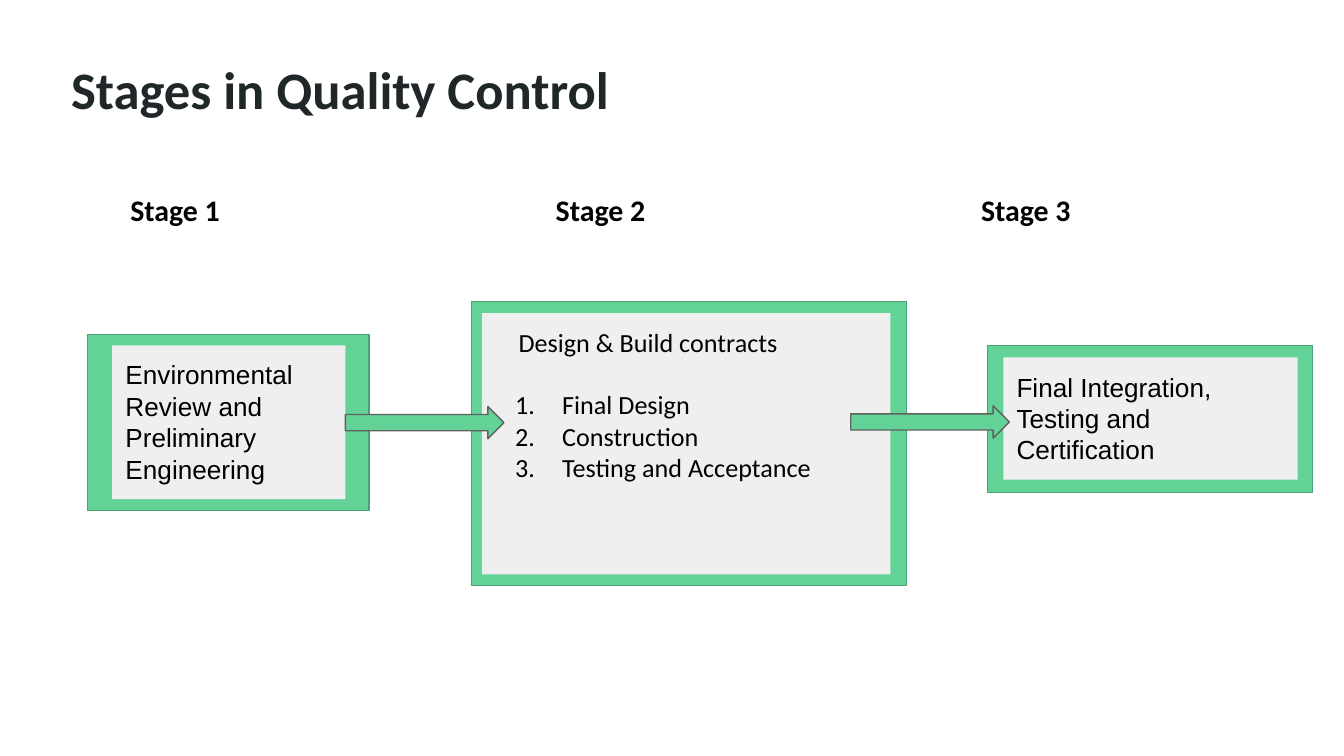
import dataclasses
import typing

import lxml.etree
import pptx
import pptx.dml.color
import pptx.enum.shapes
import pptx.enum.text
import pptx.oxml.ns
import pptx.util

# The grid has 100 columns and 56.25 rows, each a tenth of an inch
UNIT = 0.1
COLS, ROWS = 100, 56.25
GREEN, EDGE, GREY = "63D297", "4BA173", "EFEFEF"
KIND = pptx.enum.shapes.MSO_SHAPE

TITLE = {"name": "Calibri", "size": pptx.util.Pt(28.2), "bold": True}
HEAD = {"name": "Calibri", "size": pptx.util.Pt(16), "bold": True}
BODY = {"name": "Calibri", "size": pptx.util.Pt(14), "bold": False}
PLAIN = {"name": "Arial", "size": pptx.util.Pt(14), "bold": False}


@dataclasses.dataclass
class Area:
    col: float
    row: float
    wide: float
    high: float

    def span(self) -> list[int]:
        return [grid(n) for n in (self.col, self.row, self.wide, self.high)]


@dataclasses.dataclass
class Line:
    text: str
    left: float = 0
    hang: float = 0
    after: float = 0
    listed: bool = False
    tabs: tuple[float, ...] = ()


@dataclasses.dataclass
class Stage:
    frame: Area
    panel: Area
    lines: list[Line]
    form: dict[str, typing.Any]


def grid(count: float) -> int:
    return pptx.util.Inches(count * UNIT)


def tint(code: str) -> pptx.dml.color.RGBColor:
    return pptx.dml.color.RGBColor.from_string(code)


def draw(slide, kind, area: Area, fill: str = "", edge: str = "", weight: float = 0.75):
    shape = slide.shapes.add_shape(kind, *area.span())
    shape.shadow.inherit = False
    if fill:
        shape.fill.solid()
        shape.fill.fore_color.rgb = tint(fill)
    else:
        shape.fill.background()
    if edge:
        shape.line.color.rgb = tint(edge)
        shape.line.width = pptx.util.Pt(weight)
    else:
        shape.line.fill.background()
    return shape


def add(node, tag: str, **attrs: str):
    return lxml.etree.SubElement(node, pptx.oxml.ns.qn(tag), attrs)


def write(shape, lines: list[Line], form: dict[str, typing.Any], ink: str = "000000") -> None:
    frame = shape.text_frame
    layout = {"word_wrap": True, "vertical_anchor": pptx.enum.text.MSO_ANCHOR.TOP}
    layout |= {f"margin_{side}": grid(1) for side in ("left", "right", "top", "bottom")}
    for key, value in layout.items():
        setattr(frame, key, value)
    for num, line in enumerate(lines):
        para = frame.paragraphs[0] if num == 0 else frame.add_paragraph()
        para.alignment = pptx.enum.text.PP_ALIGN.LEFT
        para.space_after = pptx.util.Pt(line.after)
        props = para._p.get_or_add_pPr()
        # An explicit zero indent would cancel the tab stops
        for key, value in {"marL": line.left, "indent": line.hang}.items():
            if value:
                props.set(key, str(grid(value)))
        if line.listed:
            add(props, "a:buFont", typeface="Calibri")
            add(props, "a:buAutoNum", type="arabicPeriod")
        if line.tabs:
            stops = add(props, "a:tabLst")
            for stop in line.tabs:
                add(stops, "a:tab", pos=str(grid(stop)), algn="l")
        run = para.add_run()
        run.text = line.text
        for key, value in form.items():
            setattr(run.font, key, value)
        run.font.color.rgb = tint(ink)


def steps(*names: str) -> list[Line]:
    return [Line(name, left=5, hang=-3.5, listed=True) for name in names]


STAGES = [
    Stage(Area(6.5, 24.9, 20.95, 13.1), Area(8.35, 25.7, 17.35, 11.45),
          [Line("Environmental Review and Preliminary Engineering")], PLAIN),
    Stage(Area(35.1, 22.45, 32.35, 21.1), Area(35.85, 23.3, 30.4, 19.45),
          [Line("Design & Build contracts", left=1.75, after=16.5),
           *steps("Final Design", "Construction", "Testing and Acceptance")], BODY),
    Stage(Area(73.5, 25.7, 24.15, 10.95), Area(74.65, 26.6, 21.9, 9.1),
          [Line("Final Integration, Testing and Certification")], PLAIN),
]
ARROWS = [Area(25.7, 30.25, 11.8, 2.4), Area(63.3, 30.2, 11.8, 2.4)]


def main() -> None:
    deck = pptx.Presentation()
    deck.slide_width, deck.slide_height = grid(COLS), grid(ROWS)
    slide = deck.slides.add_slide(deck.slide_layouts[6])

    # Title
    title = slide.shapes.add_textbox(*Area(3.4, 3.2, 93.2, 7.9).span())
    write(title, [Line("Stages in Quality Control", left=0.9)], TITLE, "202729")

    # Stage boxes: green frame, grey panel
    for stage in STAGES:
        draw(slide, KIND.RECTANGLE, stage.frame, GREEN, EDGE)
        panel = draw(slide, KIND.RECTANGLE, stage.panel, GREY)
        write(panel, stage.lines, stage.form)

    # Stage names, evenly spaced by tabs
    pitch = 31.65
    heads = "\t".join(f"Stage {num + 1}" for num in range(len(STAGES)))
    tabs = tuple(pitch * num for num in range(1, len(STAGES)))
    band = draw(slide, KIND.RECTANGLE, Area(5.7, 13.3, 91.5, 4.7), edge="FFFFFF", weight=1.5)
    write(band, [Line(heads, tabs=tabs)], HEAD)
    band.text_frame.margin_left = grid(4)

    # Arrows between stages
    for area in ARROWS:
        draw(slide, KIND.RIGHT_ARROW, area, GREEN, "616161")

    deck.save("out.pptx")


if __name__ == "__main__":
    main()
